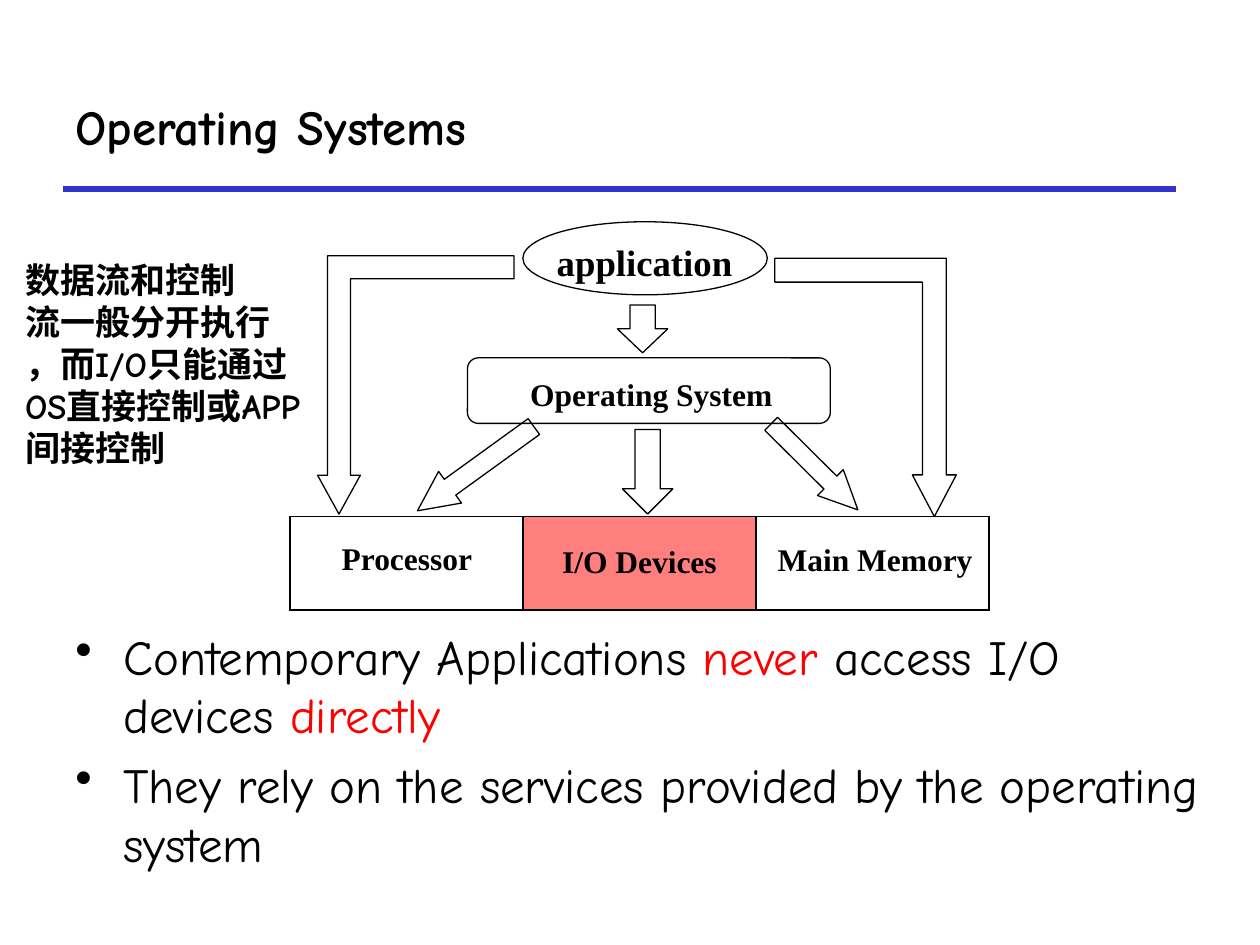
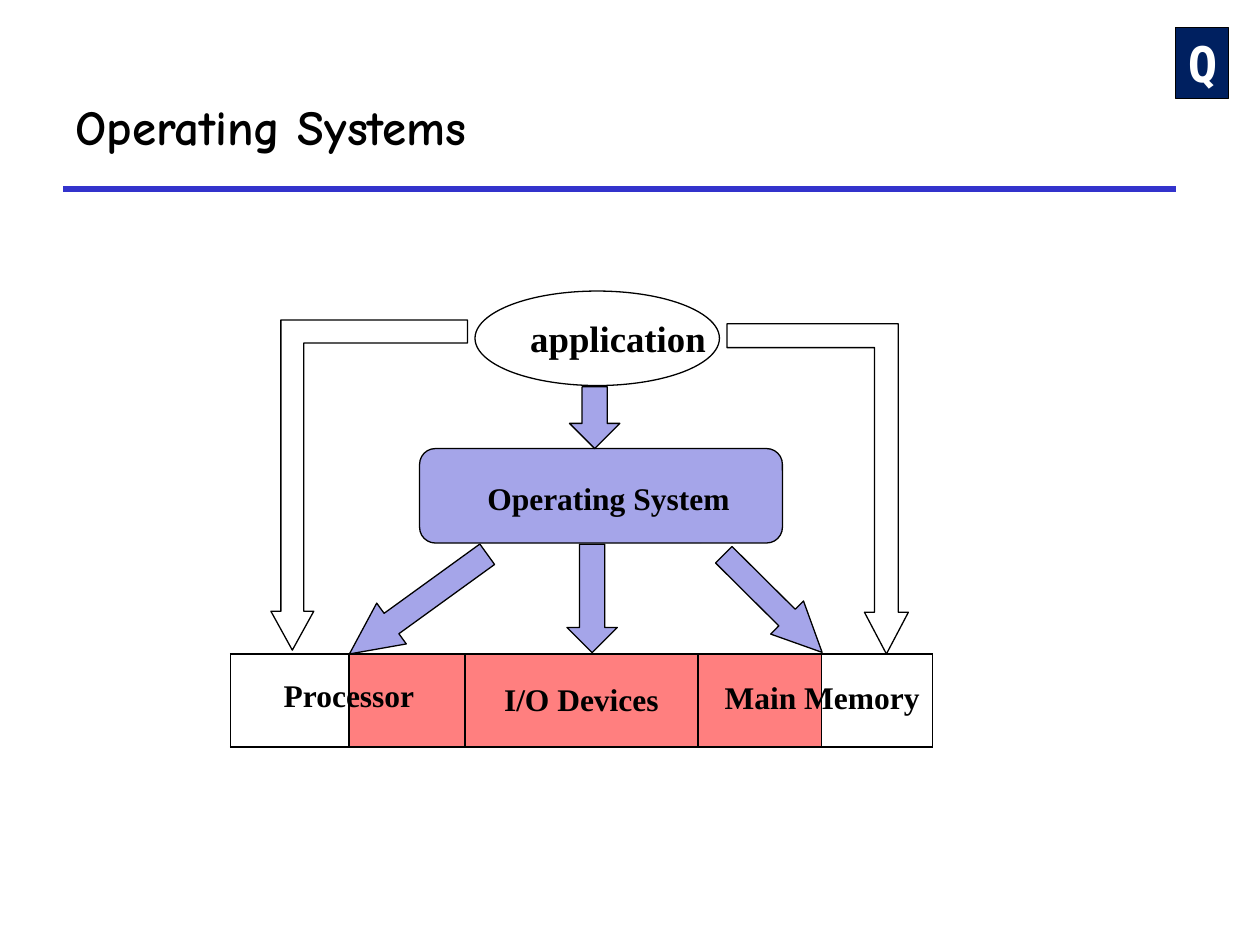
from dataclasses import dataclass
from typing import Optional

from lxml import etree
from pptx import Presentation, util as u
from pptx.dml.color import RGBColor
from pptx.enum import shapes as sh, text as tx
from pptx.oxml import ns

HUE = {"ink": "000000", "rule": "3333CC", "red": "FF0000",
       "lilac": "A5A5E9", "navy": "002060", "white": "FFFFFF"}
COMIC, TIMES, MONO = "Comic Neue", "Times New Roman", "DejaVu Sans Mono"
KIND = sh.MSO_SHAPE
LEFT, MID = tx.PP_ALIGN.LEFT, tx.PP_ALIGN.CENTER
Box = tuple[float, float, float, float]


@dataclass
class Form:
    kind: int
    box: Box
    fill: Optional[str] = None
    adj: tuple = ()
    turn: float = 0
    flip: bool = False


@dataclass
class Label:
    words: str
    box: Box
    size: float = 18
    align: int = MID
    font: str = TIMES
    wrap: bool = True
    bold: bool = True
    anchor: int = tx.MSO_ANCHOR.TOP


@dataclass
class Bar:
    """Row of hardware cells; the red ones are reached through the OS."""
    left: float
    top: float
    cols: tuple
    red: tuple
    named: int


def color(key: str) -> RGBColor:
    return RGBColor.from_string(HUE[key])


def style(run, size: float, font: str, hue: str = "ink", bold: bool = True) -> None:
    run.font.size, run.font.name, run.font.bold = u.Pt(size), font, bold
    run.font.color.rgb = color(hue)


def place(box: Box) -> list:
    return [u.Inches(v) for v in box]


def draw(slide, form: Form):
    shape = slide.shapes.add_shape(form.kind, *place(form.box))
    shape.shadow.inherit = False
    if form.fill:
        shape.fill.solid()
        shape.fill.fore_color.rgb = color(form.fill)
    else:
        shape.fill.background()
    shape.line.color.rgb, shape.line.width = color("ink"), u.Pt(0.75)
    for i, part in enumerate(form.adj):
        shape.adjustments[i] = part
    shape.rotation = form.turn
    if form.flip:
        shape._element.spPr.xfrm.set("flipH", "1")
    return shape


def write(slide, label: Label):
    frame = slide.shapes.add_textbox(*place(label.box)).text_frame
    frame.word_wrap, frame.vertical_anchor = label.wrap, label.anchor
    frame.text = label.words
    for para in frame.paragraphs:
        para.alignment = label.align
        for run in para.runs:
            style(run, label.size, label.font, bold=label.bold)
    return frame


def edge(cell) -> None:
    """Thin black line on all four sides of a cell."""
    props = cell._tc.get_or_add_tcPr()
    for i, side in enumerate("LRTB"):
        line = etree.Element(ns.qn(f"a:ln{side}"), w=str(u.Pt(1)))
        fill = etree.SubElement(line, ns.qn("a:solidFill"))
        etree.SubElement(fill, ns.qn("a:srgbClr"), val=HUE["ink"])
        props.insert(i, line)


def chart_row(slide, bar: Bar) -> None:
    box = (bar.left, bar.top, sum(bar.cols), 0.74)
    table = slide.shapes.add_table(1, len(bar.cols), *place(box)).table
    table.first_row = table.horz_banding = False
    for i, width in enumerate(bar.cols):
        table.columns[i].width = u.Inches(width)
        cell = table.cell(0, i)
        if i in bar.red:
            cell.fill.solid()
            cell.fill.fore_color.rgb = color("red")
            tint = cell._tc.tcPr.find(".//" + ns.qn("a:srgbClr"))
            etree.SubElement(tint, ns.qn("a:alpha"), val="50000")
        else:
            cell.fill.background()
        edge(cell)
    cell = table.cell(0, bar.named)
    cell.text = "I/O Devices"
    cell.vertical_anchor = tx.MSO_ANCHOR.MIDDLE
    para = cell.text_frame.paragraphs[0]
    para.alignment = MID
    style(para.runs[0], 18, TIMES)


def start(deck):
    """New slide with the shared rule and title."""
    slide = deck.slides.add_slide(deck.slide_layouts[6])
    rule = slide.shapes.add_connector(sh.MSO_CONNECTOR.STRAIGHT,
                                      *place((0.5, 1.5, 9.33, 1.5)))
    rule.line.color.rgb, rule.line.width = color("rule"), u.Pt(3)
    etree.SubElement(rule._element.spPr, ns.qn("a:effectLst"))
    write(slide, Label("Operating Systems", (0.5, 0.5, 8.83, 1), 28, LEFT, COMIC,
                       anchor=tx.MSO_ANCHOR.MIDDLE))
    return slide


def down(box: Box, fill: Optional[str] = None, turn: float = 0,
         head: float = 0.5) -> Form:
    return Form(KIND.DOWN_ARROW, box, fill, (0.5, head), turn)


def bent(box: Box, flip: bool = False) -> Form:
    adj = (0.131, 0.121, 0.23) if flip else (0.117, 0.109, 0.198)
    return Form(KIND.BENT_UP_ARROW, box, None, adj, 180, flip)


def app(box: Box) -> Form:
    return Form(KIND.OVAL, box)


def system(box: Box, fill: Optional[str] = None) -> Form:
    return Form(KIND.ROUNDED_RECTANGLE, box, fill, (0.167,))


def names(*spots: tuple) -> list:
    """Labels of the diagram, one left and top for each."""
    kinds = (("application", 1.61, 21, LEFT), ("Operating System", 2.14, 18, LEFT),
             ("Processor", 1.56, 18, MID), ("Main Memory", 1.95, 18, MID))
    return [Label(words, (x, y, wide, 0.4), size, align, wrap=align == MID)
            for (words, wide, size, align), (x, y) in zip(kinds, spots)]


def diagram(slide, bar: Bar, forms: list, labels: list) -> None:
    chart_row(slide, bar)
    for form in forms:
        draw(slide, form)
    for label in labels:
        write(slide, label)


def bullets(slide, box: Box, items: list) -> None:
    frame = slide.shapes.add_textbox(*place(box)).text_frame
    frame.word_wrap = True
    for i, parts in enumerate(items):
        para = frame.add_paragraph() if i else frame.paragraphs[0]
        para.space_before = u.Pt(6)
        props = para._p.get_or_add_pPr()
        props.set("marL", str(u.Inches(0.38)))
        props.set("indent", str(-u.Inches(0.38)))
        etree.SubElement(props, ns.qn("a:buChar"), char="•")
        for words, hue in parts:
            run = para.add_run()
            run.text = words
            style(run, 28, COMIC, hue, False)


deck = Presentation()
deck.slide_width, deck.slide_height = u.Inches(10), u.Inches(7.5)

# Slide 1: plain diagram, side remark and bullets
slide = start(deck)
diagram(slide, Bar(2.3, 4.1, (1.85,) * 3, (1,), 1), [
    app((4.15, 1.76, 1.94, 0.58)),
    system((3.71, 2.84, 2.88, 0.52)),
    down((3.62, 3.15, 0.31, 1.14), turn=54.1, head=1.03),
    down((4.94, 3.41, 0.4, 0.67)),
    down((6.32, 3.22, 0.29, 0.97), turn=314.8, head=1.06),
    bent((2.52, 2.03, 1.56, 2.05)),
    bent((6.15, 2.05, 1.44, 2.05), True),
    down((4.9, 2.42, 0.4, 0.38)),
], names((4.32, 1.85), (4.11, 2.93), (2.45, 4.23), (5.97, 4.24)))
bullets(slide, (0.5, 4.92, 9.17, 2.23), [
    [("Contemporary Applications ", "ink"), ("never", "red"),
     (" access I/O devices ", "ink"), ("directly", "red")],
    [("They rely on the services provided by the operating system", "ink")],
])
write(slide, Label("数据流和控制\n流一般分开执行\n，而I/O只能通过\nOS直接控制或APP\n间接控制",
                   (0.1, 2, 2.45, 1.78), 20, LEFT, COMIC))

# Slide 2: the path through the OS in colour
slide = start(deck)
diagram(slide, Bar(1.83, 5.19, (0.94, 0.92, 1.85, 0.98, 0.88), (1, 2, 3), 2), [
    app((3.77, 2.31, 1.94, 0.75)),
    system((3.33, 3.56, 2.88, 0.75), "lilac"),
    down((3.12, 4.12, 0.4, 1.35), "lilac", 54.1, 1.03),
    down((4.5, 4.32, 0.4, 0.86), "lilac"),
    down((5.95, 4.24, 0.37, 1.1), "lilac", 314.8, 1.06),
    bent((2.15, 2.54, 1.56, 2.62)),
    bent((5.77, 2.57, 1.44, 2.62), True),
    down((4.52, 3.07, 0.4, 0.49), "lilac"),
], names((4.11, 2.46), (3.77, 3.75), (1.99, 5.32), (5.55, 5.33)))

# Corner badge
badge = draw(slide, Form(KIND.RECTANGLE, (9.33, 0.22, 0.42, 0.56), "navy")).text_frame
badge.text = "Q"
badge.vertical_anchor = tx.MSO_ANCHOR.MIDDLE
badge.paragraphs[0].alignment = MID
style(badge.paragraphs[0].runs[0], 28, MONO, "white")

deck.save("out.pptx")
